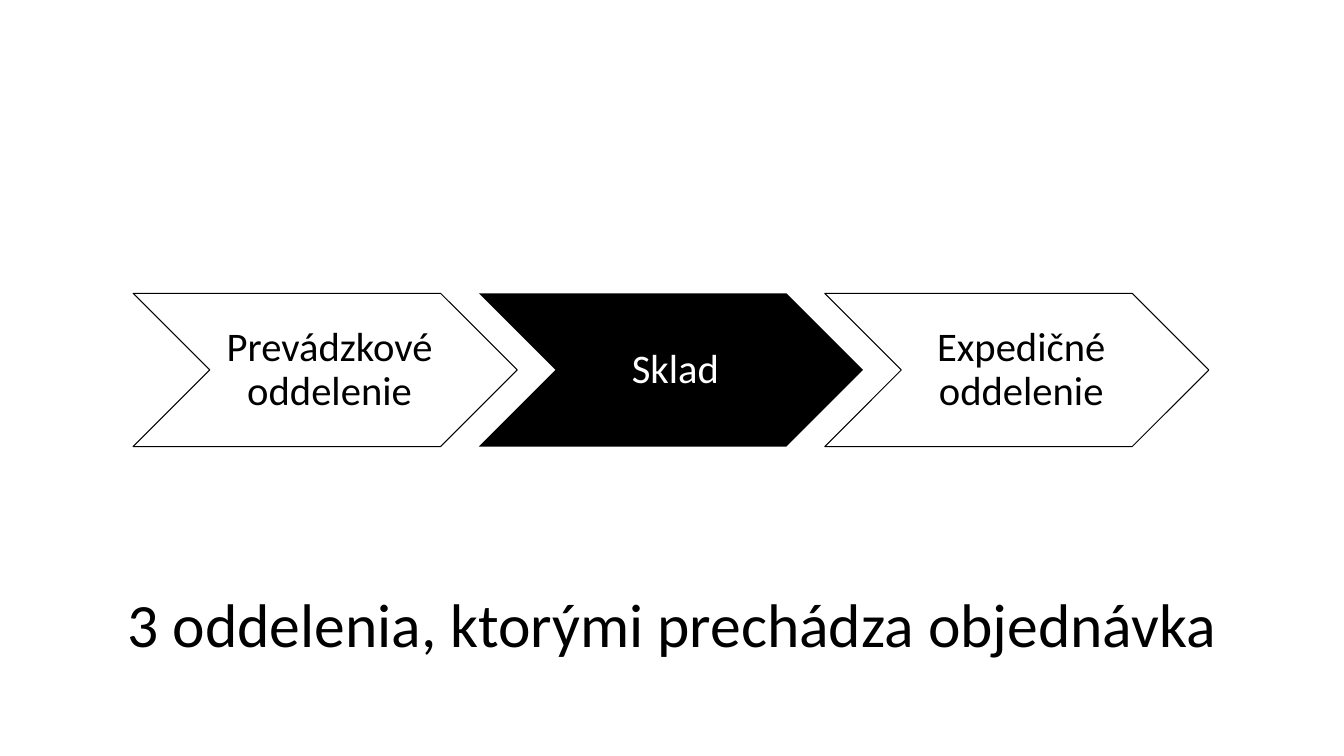
from dataclasses import dataclass

from pptx import Presentation
from pptx.dml.color import RGBColor
from pptx.enum.shapes import MSO_SHAPE
from pptx.enum.text import MSO_ANCHOR, MSO_AUTO_SIZE, PP_ALIGN
from pptx.util import Pt

CHEVRON = MSO_SHAPE.CHEVRON
MIDDLE = MSO_ANCHOR.MIDDLE
NO_AUTOFIT = MSO_AUTO_SIZE.NONE
CENTER = PP_ALIGN.CENTER
EMU_PER_PX = 9144
TITLE_ONLY = 5


@dataclass(frozen=True)
class Theme:
    font: str = "Calibri"
    dark: RGBColor = RGBColor(0, 0, 0)
    light: RGBColor = RGBColor(255, 255, 255)
    title_size: int = 44
    step_size: int = 29
    outline: float = 0.75
    line_spacing: float = 0.9


def px(length):
    return length * EMU_PER_PX


def write(frame, text, *, theme, size, color, margins=(10, 5, 10, 5)):
    frame.word_wrap = True
    frame.auto_size = NO_AUTOFIT
    frame.vertical_anchor = MIDDLE
    (frame.margin_left, frame.margin_top,
     frame.margin_right, frame.margin_bottom) = map(px, margins)
    frame.text = text
    paragraph = frame.paragraphs[0]
    paragraph.alignment = CENTER
    paragraph.line_spacing = theme.line_spacing
    font = paragraph.runs[0].font
    font.name, font.size = theme.font, Pt(size)
    font.color.rgb = color


class SlideBuilder:
    def __init__(self, slide, theme):
        self.slide = slide
        self.theme = theme

    def title(self, text, left, top, width, height):
        heading = self.slide.shapes.title
        heading.left, heading.top = px(left), px(top)
        heading.width, heading.height = px(width), px(height)
        write(heading.text_frame, text, theme=self.theme,
              size=self.theme.title_size, color=self.theme.dark)

    def step(self, text, left, top, width, height, highlighted=False):
        theme = self.theme
        department = self.slide.shapes.add_shape(
            CHEVRON, px(left), px(top), px(width), px(height))
        department.shadow.inherit = False
        department.fill.solid()
        department.fill.fore_color.rgb = theme.dark if highlighted else theme.light
        if highlighted:
            department.line.fill.background()
        else:
            department.line.color.rgb = theme.dark
            department.line.width = Pt(theme.outline)
        write(department.text_frame, text, theme=theme, size=theme.step_size,
              color=theme.light if highlighted else theme.dark,
              margins=(13, 4, 4, 4))


def main():
    deck = Presentation()
    deck.slide_width, deck.slide_height = px(1333), px(750)
    slide = deck.slides.add_slide(deck.slide_layouts[TITLE_ONLY])
    builder = SlideBuilder(slide, Theme())

    builder.title("3 oddelenia, ktorými prechádza objednávka", 92, 550, 1150, 145)

    departments = ["Prevádzkové oddelenie", "Sklad", "Expedičné oddelenie"]
    first_left, pitch = 132, 343
    for index, department in enumerate(departments):
        builder.step(department, first_left + index * pitch, 291, 381, 152,
                     highlighted=department == "Sklad")

    deck.save("out.pptx")


if __name__ == "__main__":
    main()
